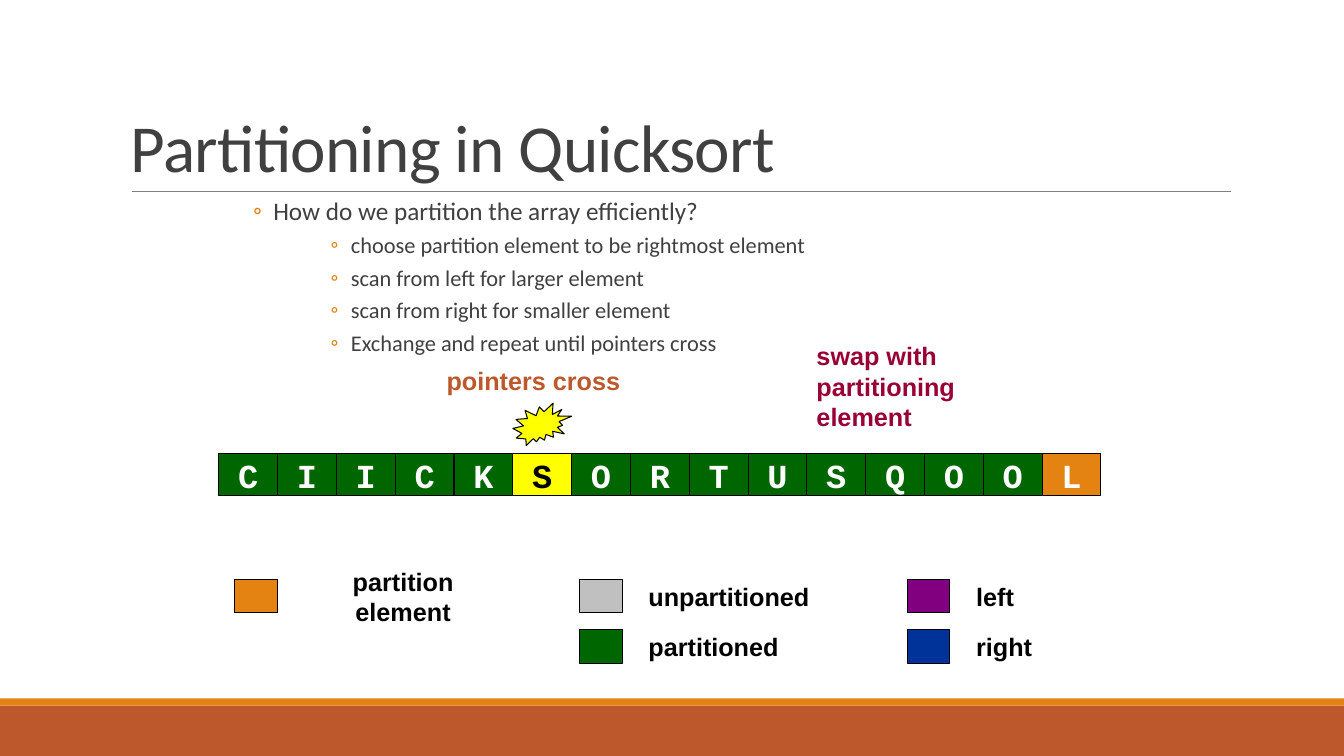
"""Build the slide on partitioning in Quicksort."""
from lxml import etree
from pptx import Presentation
from pptx.dml.color import RGBColor
from pptx.enum.shapes import MSO_CONNECTOR, MSO_SHAPE
from pptx.enum.text import MSO_ANCHOR, PP_ALIGN
from pptx.oxml.ns import qn
from pptx.util import Inches, Pt

RECT, BURST = MSO_SHAPE.RECTANGLE, MSO_SHAPE.EXPLOSION2
STRAIGHT = MSO_CONNECTOR.STRAIGHT
LEFT, CENTER = PP_ALIGN.LEFT, PP_ALIGN.CENTER
TOP, MIDDLE, BOTTOM = MSO_ANCHOR.TOP, MSO_ANCHOR.MIDDLE, MSO_ANCHOR.BOTTOM
RUST, ORANGE, GREEN, YELLOW = "BD582C", "E48312", "006600", "FFFF00"
BLACK, WHITE, GRAY = "000000", "FFFFFF", "404040"
color = RGBColor.from_string

deck = Presentation()
deck.slide_width, deck.slide_height = Inches(13.33), Inches(7.5)
slide = deck.slides.add_slide(deck.slide_layouts[6])
shapes = slide.shapes


def block(kind, x, y, w, h, fill, line=None):
    shape = shapes.add_shape(kind, Inches(x), Inches(y), Inches(w), Inches(h))
    shape.shadow.inherit = False
    shape.fill.solid()
    shape.fill.fore_color.rgb = color(fill)
    if line:
        shape.line.color.rgb = color(line)
        shape.line.width = Pt(0.75)
    else:
        shape.line.fill.background()
    return shape


def write(shape, text, size=18, font="Arial", ink=BLACK, bold=True,
          align=LEFT, anchor=TOP, wrap=True):
    frame = shape.text_frame
    frame.word_wrap = wrap
    frame.vertical_anchor = anchor
    frame.text = text
    for para in frame.paragraphs:
        para.alignment = align
        style = para.runs[0].font
        style.name, style.size, style.bold = font, Pt(size), bold
        style.color.rgb = color(ink)
    return frame


block(RECT, 0, 7, 13.33, 0.5, RUST)
block(RECT, 0, 6.93, 13.33, 0.07, ORANGE)
rule = shapes.add_connector(STRAIGHT, Inches(1.31), Inches(1.9), Inches(12.21), Inches(1.9))
rule.line.color.rgb = color("808080")
rule.line.width = Pt(0.5)
etree.SubElement(rule._element.spPr, qn("a:effectLst"))

title = shapes.add_textbox(Inches(1.2), Inches(0.31), Inches(11), Inches(1.59))
frame = write(title, "Partitioning in Quicksort", size=48, font="Calibri",
              ink=GRAY, bold=False, anchor=BOTTOM)
head = frame.paragraphs[0]
head.line_spacing = 0.85
head.runs[0]._r.get_or_add_rPr().set("spc", "-50")

steps = [
    "How do we partition the array efficiently?",
    "choose partition element to be rightmost element",
    "scan from left for larger element",
    "scan from right for smaller element",
    "Exchange and repeat until pointers cross",
]
body = shapes.add_textbox(Inches(2.29), Inches(1.92), Inches(8.75), Inches(2.1))
frame = write(body, "\n".join(steps), size=16, font="Calibri", ink=GRAY, bold=False)
frame.margin_left = frame.margin_right = 0
for i, para in enumerate(frame.paragraphs):
    props = para._p.get_or_add_pPr()
    props.set("marL", str(Inches(1.19 if i else 0.42)))
    props.set("indent", str(Inches(-0.2)))
    tint = etree.SubElement(props, qn("a:buClr"))
    etree.SubElement(tint, qn("a:srgbClr")).set("val", ORANGE)
    etree.SubElement(props, qn("a:buFont")).set("typeface", "Calibri")
    etree.SubElement(props, qn("a:buChar")).set("char", "◦")
    para.line_spacing = 0.9
    para.space_after = Pt(4)
    if i:
        para.level = 2
        para.space_before = Pt(2)
    else:
        para.level = 1
        para.runs[0].font.size = Pt(18)

cross = shapes.add_textbox(Inches(4.25), Inches(3.58), Inches(2.08), Inches(0.4))
write(cross, "pointers cross", ink=RUST, align=CENTER)
swap = shapes.add_textbox(Inches(8), Inches(3.33), Inches(1.83), Inches(1))
write(swap, "swap with partitioning element", ink="990033")

pitch = 7 / 12
start = 2.17
block(BURST, start + 5 * pitch, 4, pitch, 0.42, YELLOW, BLACK)
marks = {5: (YELLOW, BLACK), 14: (ORANGE, WHITE)}
for i, letter in enumerate("CIICKSORTUSQOOL"):
    fill, ink = marks.get(i, (GREEN, WHITE))
    cell = block(RECT, start + i * pitch, 4.5, pitch, 0.42, fill, BLACK)
    write(cell, letter, size=24, font="Courier New", ink=ink,
          align=CENTER, anchor=MIDDLE, wrap=False)

legend = [
    ("partition element", 2.33, 5.75, 2.17, ORANGE, CENTER),
    ("unpartitioned", 5.75, 5.75, 2.17, "C0C0C0", LEFT),
    ("partitioned", 5.75, 6.25, 2.17, GREEN, LEFT),
    ("left", 9, 5.75, 1.08, "800080", LEFT),
    ("right", 9, 6.25, 1.08, "003399", LEFT),
]
for name, x, y, width, fill, align in legend:
    block(RECT, x, y, 0.42, 0.33, fill, BLACK)
    label = shapes.add_textbox(Inches(x + pitch), Inches(y), Inches(width), Inches(0.33))
    write(label, name, align=align, anchor=MIDDLE, wrap=False)

deck.save("out.pptx")
